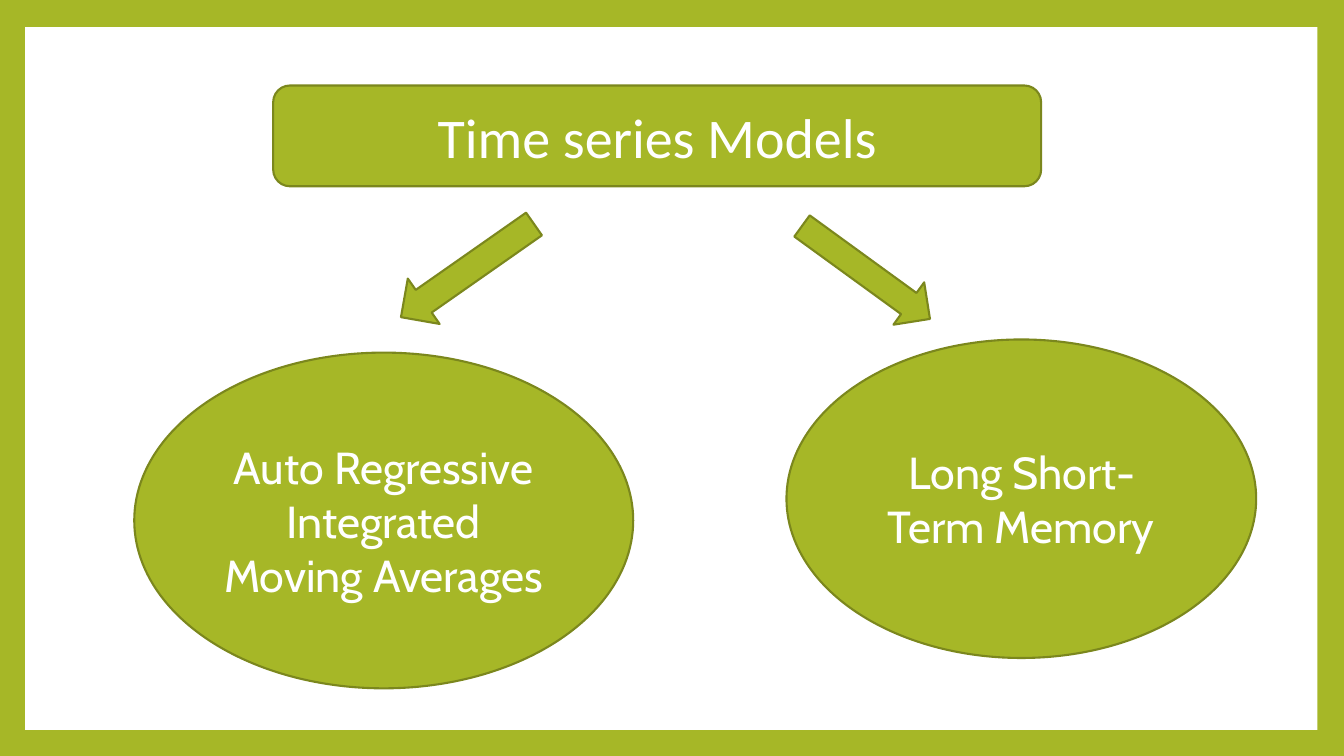
import pptx
import pptx.util
import pptx.dml.color
import pptx.enum.shapes
import pptx.enum.text

Pt = pptx.util.Pt
SHAPE = pptx.enum.shapes.MSO_SHAPE
GREEN = pptx.dml.color.RGBColor(0xA6, 0xB7, 0x27)
DARK_GREEN = pptx.dml.color.RGBColor(0x7B, 0x87, 0x1D)
WHITE = pptx.dml.color.RGBColor(0xFF, 0xFF, 0xFF)


def add_green_shape(s, kind, box):
    sp = s.shapes.add_shape(kind, *map(Pt, box))
    sp.shadow.inherit = False
    sp.fill.solid()
    sp.fill.fore_color.rgb = GREEN
    sp.line.color.rgb = DARK_GREEN
    sp.line.width = Pt(1.5)
    return sp


def add_node(s, kind, box, text, font, size):
    """Add a green shape with a centred white label."""
    tf = add_green_shape(s, kind, box).text_frame
    tf.word_wrap = True
    tf.vertical_anchor = pptx.enum.text.MSO_ANCHOR.MIDDLE
    p = tf.paragraphs[0]
    p.text = text
    p.alignment = pptx.enum.text.PP_ALIGN.CENTER
    p.font.name = font
    p.font.size = Pt(size)
    p.font.color.rgb = WHITE


def add_arrow(s, box, rotation):
    add_green_shape(s, SHAPE.DOWN_ARROW, box).rotation = rotation


def add_frame(s, box):
    """Fill the slide with green and lay a white panel on it."""
    s.background.fill.solid()
    s.background.fill.fore_color.rgb = GREEN
    panel = s.shapes.add_shape(SHAPE.RECTANGLE, *map(Pt, box))
    panel.shadow.inherit = False
    panel.fill.solid()
    panel.fill.fore_color.rgb = WHITE
    panel.line.fill.background()


def add_model_tree(s, box):
    """Place the title, two arrows and two models inside the box."""
    x, y, w, h = box
    add_node(s, SHAPE.ROUNDED_RECTANGLE, (x + 99.2, y, 548.6, 72),
             "Time series Models", "Calibri", 40)
    add_arrow(s, (x + 504, y + 77, 37.4, 113), 306)
    add_arrow(s, (x + 218.2, y + 74.2, 39.6, 116), 55)
    long_w, long_h = 335.5, 227.5
    add_node(s, SHAPE.OVAL, (x + w - long_w, y + 181.4, long_w, long_h),
             "Long Short-Term Memory", "Cabin", 32)
    auto_w, auto_h = 356.4, 239.8
    add_node(s, SHAPE.OVAL, (x, y + h - auto_h, auto_w, auto_h),
             "Auto Regressive Integrated Moving Averages", "Cabin", 32)


def main():
    prs = pptx.Presentation()
    prs.slide_width, prs.slide_height = Pt(960), Pt(540)
    s = prs.slides.add_slide(prs.slide_layouts[6])
    add_frame(s, (18, 19.3, 923, 502))
    add_model_tree(s, (95.9, 61.1, 801.4, 430.6))
    prs.save("out.pptx")


if __name__ == "__main__":
    main()
